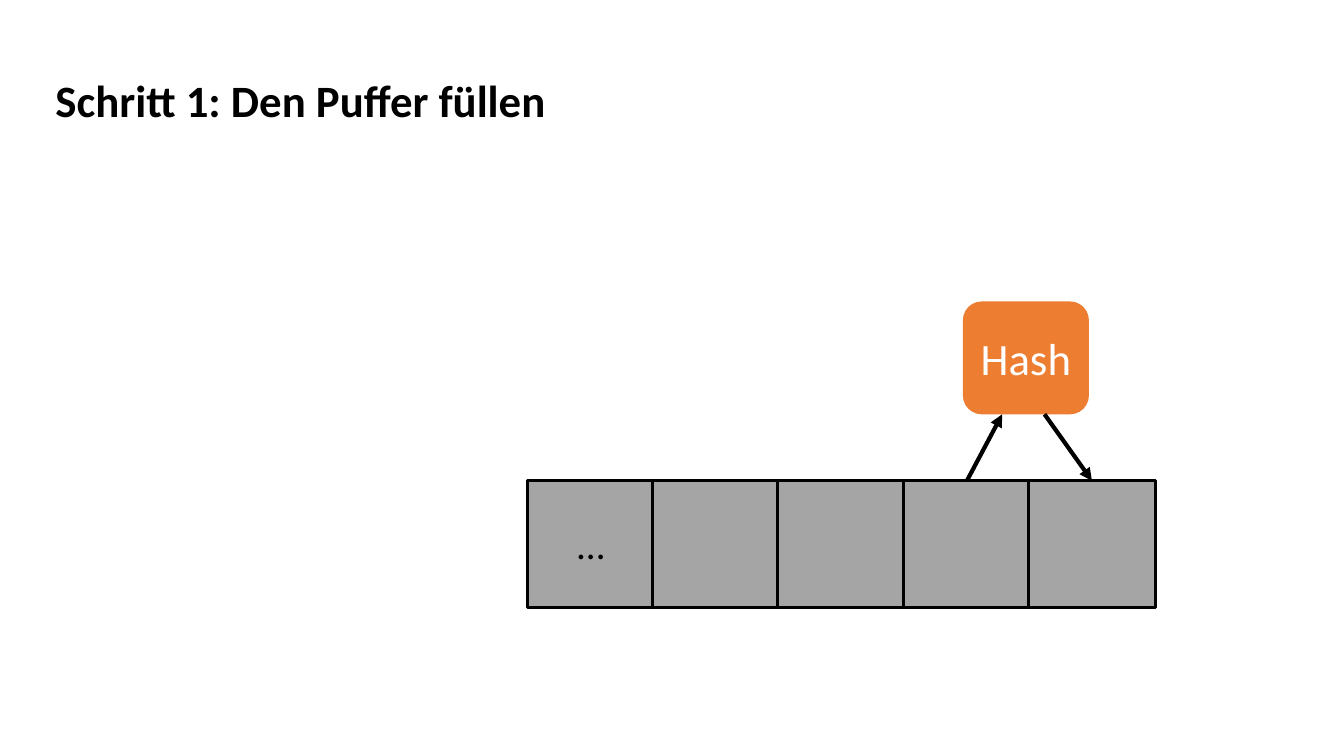
from lxml.etree import SubElement
from pptx import Presentation
from pptx.dml.color import RGBColor
from pptx.enum.shapes import MSO_CONNECTOR, MSO_SHAPE
from pptx.enum.text import MSO_ANCHOR, MSO_AUTO_SIZE, PP_ALIGN
from pptx.oxml.ns import qn
from pptx.util import Pt

PX = 9144
FONT = "Calibri"
COLORS = {"hash": "ED7D31", "cell": "A5A5A5", "black": "000000", "white": "FFFFFF"}

TITLE = "Schritt 1: Den Puffer füllen"
TITLE_BOX = (45, 67, 624, 64)
HASH_TEXT = "Hash"
HASH_BOX = (955, 299, 125, 112)
CELL_TEXTS = ["…", "", "", "", ""]
BUFFER_LEFT, BUFFER_TOP, CELL_SIZE = 523, 477, 126
LAST_CELL_LEFT = 1020
READ_CELL, WRITE_CELL = 3, 4
HASH_INPUT_X, HASH_OUTPUT_X = 994, 1036


def color(name):
    return RGBColor.from_string(COLORS[name])


def emu(lengths):
    return [length * PX for length in lengths]


def set_text(shape, text, size, color_name, align, anchor, bold=False):
    frame = shape.text_frame
    frame.text = text
    frame.word_wrap = True
    frame.vertical_anchor = anchor
    paragraph = frame.paragraphs[0]
    paragraph.alignment = align
    font = paragraph.runs[0].font
    font.name, font.size, font.bold = FONT, Pt(size), bold
    font.color.rgb = color(color_name)


def add_box(slide, kind, box, fill):
    shape = slide.shapes.add_shape(kind, *emu(box))
    shape.shadow.inherit = False
    shape.fill.solid()
    shape.fill.fore_color.rgb = color(fill)
    shape.line.fill.background()
    return shape


def add_cell(slide, index, text):
    step = (LAST_CELL_LEFT - BUFFER_LEFT) / (len(CELL_TEXTS) - 1)
    left = BUFFER_LEFT + round(index * step)
    cell = add_box(slide, MSO_SHAPE.RECTANGLE, (left, BUFFER_TOP, CELL_SIZE, CELL_SIZE), "cell")
    cell.line.color.rgb = color("black")
    cell.line.width = Pt(2.25)
    if text:
        set_text(cell, text, 28, "black", PP_ALIGN.CENTER, MSO_ANCHOR.MIDDLE)
    return cell


def add_arrow(slide, start, end):
    arrow = slide.shapes.add_connector(MSO_CONNECTOR.STRAIGHT, *emu(start + end))
    arrow.line.color.rgb = color("black")
    arrow.line.width = Pt(3)
    SubElement(arrow.line._get_or_add_ln(), qn("a:tailEnd"), type="triangle")
    SubElement(arrow._element.spPr, qn("a:effectLst"))
    return arrow


def main():
    presentation = Presentation()
    presentation.slide_width, presentation.slide_height = emu((1333, 750))
    slide = presentation.slides.add_slide(presentation.slide_layouts[5])

    title = slide.shapes.title
    title.left, title.top, title.width, title.height = emu(TITLE_BOX)
    set_text(title, TITLE, 32, "black", PP_ALIGN.LEFT, MSO_ANCHOR.TOP, bold=True)
    title.text_frame.auto_size = MSO_AUTO_SIZE.SHAPE_TO_FIT_TEXT

    hash_box = add_box(slide, MSO_SHAPE.ROUNDED_RECTANGLE, HASH_BOX, "hash")
    set_text(hash_box, HASH_TEXT, 32, "white", PP_ALIGN.CENTER, MSO_ANCHOR.MIDDLE)

    cells = [add_cell(slide, index, text) for index, text in enumerate(CELL_TEXTS)]

    hash_bottom = HASH_BOX[1] + HASH_BOX[3]
    hash_input = (HASH_INPUT_X, hash_bottom)
    hash_output = (HASH_OUTPUT_X, hash_bottom)
    add_arrow(slide, hash_input, hash_input).begin_connect(cells[READ_CELL], 0)
    add_arrow(slide, hash_output, hash_output).end_connect(cells[WRITE_CELL], 0)

    presentation.save("out.pptx")


if __name__ == "__main__":
    main()
